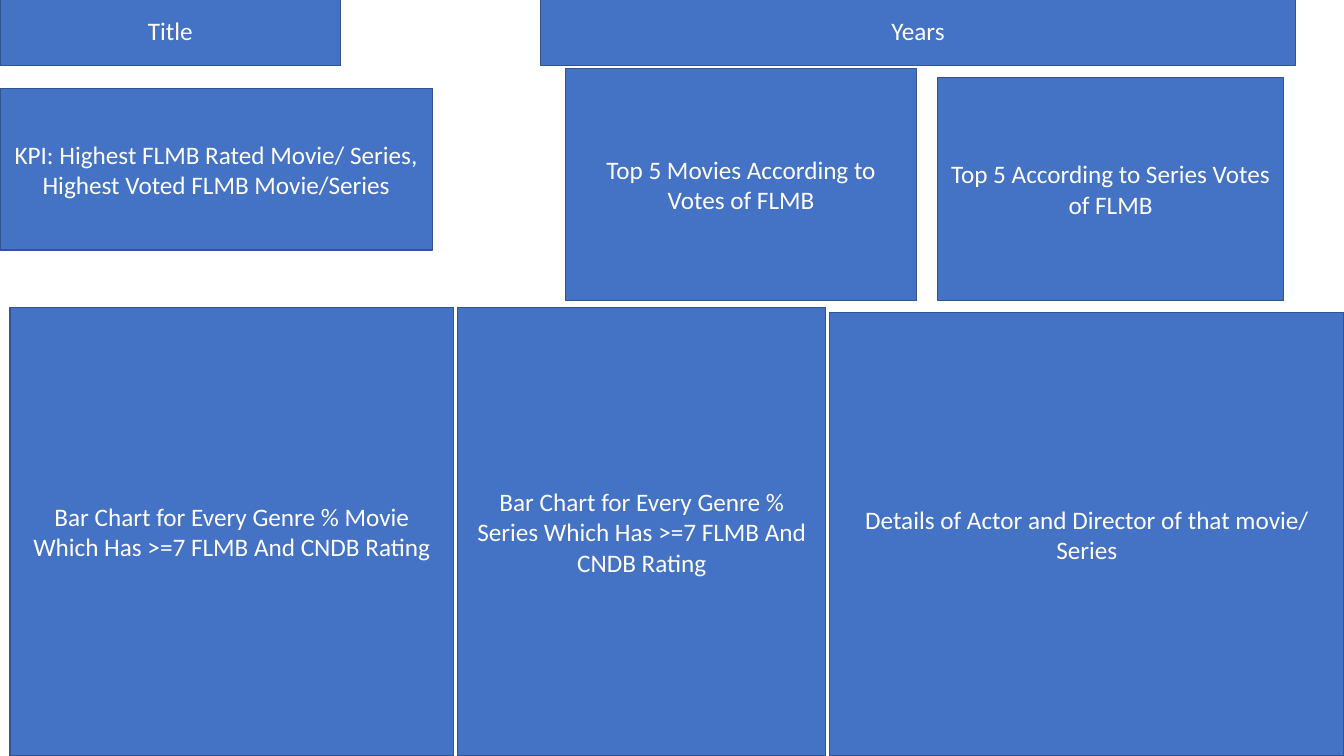
"""Builds a dashboard wireframe slide of labelled panels aligned in rows."""
from pptx import Presentation
from pptx.dml.color import RGBColor
from pptx.enum.shapes import MSO_SHAPE
from pptx.enum.text import MSO_ANCHOR, MSO_AUTO_SIZE, PP_ALIGN
from pptx.util import Inches, Pt

PANEL_BLUE = RGBColor(0x44, 0x72, 0xC4)
EDGE_BLUE = RGBColor(0x32, 0x54, 0x91)
WHITE = RGBColor(0xFF, 0xFF, 0xFF)

HEADING = "Title"
ROWS = [
    {"left": 0, "gap": 1.98, "bottom": 0.65, "panels": [
        (HEADING, 3.38, 0.69),
        ("Years", 7.49, 0.69),
    ]},
    {"left": 0, "gap": 0, "bottom": 2.48, "panels": [
        ("KPI: Highest FLMB Rated Movie/ Series, Highest Voted FLMB Movie/Series", 4.29, 1.6),
    ]},
    {"left": 5.61, "gap": 0.21, "bottom": 2.98, "panels": [
        ("Top 5 Movies According to Votes of FLMB", 3.48, 2.3),
        ("Top 5 According to Series Votes of FLMB", 3.43, 2.21),
    ]},
    {"left": 0.1, "gap": 0.04, "bottom": 7.5, "panels": [
        ("Bar Chart for Every Genre % Movie Which Has >=7 FLMB And CNDB Rating", 4.4, 4.45),
        ("Bar Chart for Every Genre % Series Which Has >=7 FLMB And CNDB Rating", 3.65, 4.45),
        ("Details of Actor and Director of that movie/ Series", 5.1, 4.4),
    ]},
]


def format_panel(panel, label):
    panel.fill.solid()
    panel.fill.fore_color.rgb = PANEL_BLUE
    panel.line.color.rgb = EDGE_BLUE
    panel.line.width = Pt(1)
    frame = panel.text_frame
    frame.text = label
    frame.word_wrap = True
    frame.auto_size = MSO_AUTO_SIZE.NONE
    frame.vertical_anchor = MSO_ANCHOR.MIDDLE
    paragraph = frame.paragraphs[0]
    paragraph.alignment = PP_ALIGN.CENTER
    paragraph.font.name = "Calibri"
    paragraph.font.size = Pt(18)
    paragraph.font.color.rgb = WHITE


presentation = Presentation()
presentation.slide_width = Inches(13.33)
presentation.slide_height = Inches(7.5)
slide = presentation.slides.add_slide(presentation.slide_layouts[5])

for row in ROWS:
    left = row["left"]
    for label, width, height in row["panels"]:
        box = [Inches(length) for length in (left, row["bottom"] - height, width, height)]
        if label == HEADING:
            panel = slide.shapes.title
            panel.left, panel.top, panel.width, panel.height = box
        else:
            panel = slide.shapes.add_shape(MSO_SHAPE.RECTANGLE, *box)
            panel.shadow.inherit = False
        format_panel(panel, label)
        left += width + row["gap"]

presentation.save("out.pptx")
